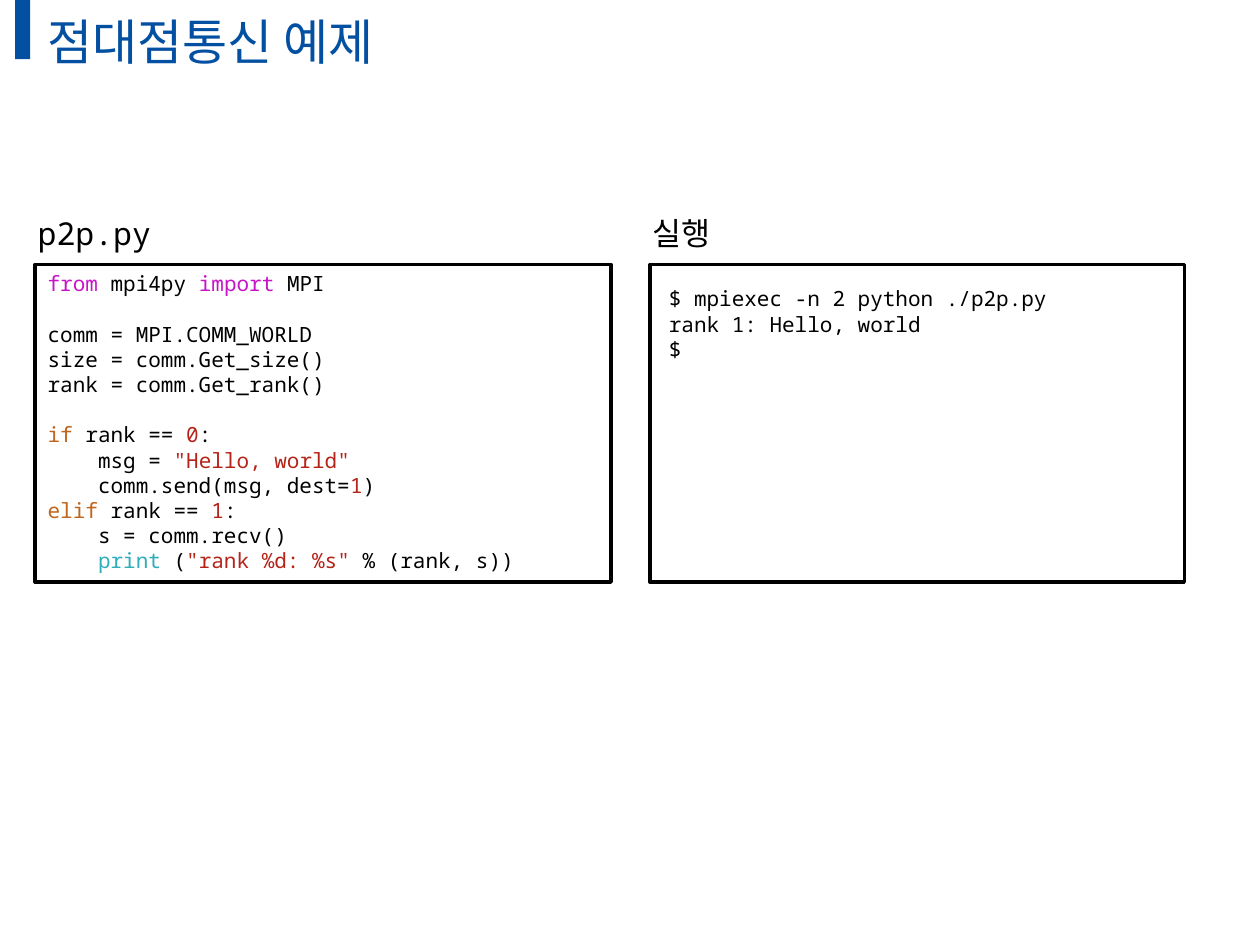
"""Build the point-to-point communication example slide."""
from lxml.etree import SubElement
from pptx import Presentation
from pptx.dml.color import RGBColor
from pptx.enum.shapes import MSO_SHAPE
from pptx.enum.text import MSO_ANCHOR, PP_ALIGN
from pptx.oxml.ns import qn
from pptx.util import Inches, Pt

BLUE, BLACK, WHITE = "0350A2", "000000", "FFFFFF"
MAGENTA, ORANGE, RED, CYAN = "C814C9", "C1651C", "B42419", "2EAEBB"
MONO, KOREAN = "Noto Sans Mono", "Noto Sans CJK KR"
CODE_SIZE, LINE_HEIGHT, INDENT = 12, 14.4, 0.4


def color(value):
    return RGBColor.from_string(value)


def write(shape, lines, size, font_name=MONO, anchor=MSO_ANCHOR.TOP, wrap=False):
    frame = shape.text_frame
    for name, value in {"word_wrap": wrap, "vertical_anchor": anchor}.items():
        setattr(frame, name, value)
    for index, (blank_lines, indent, runs) in enumerate(lines):
        paragraph = frame.paragraphs[0] if index == 0 else frame.add_paragraph()
        paragraph.alignment = PP_ALIGN.LEFT
        if blank_lines:
            paragraph.space_before = Pt(blank_lines * LINE_HEIGHT)
        if indent:
            paragraph._p.get_or_add_pPr().set("marL", str(Inches(indent * INDENT)))
        for text, text_color in runs:
            run = paragraph.add_run()
            run.text = text
            for name, value in {"size": Pt(size), "name": font_name}.items():
                setattr(run.font, name, value)
            run.font.color.rgb = color(text_color)
            SubElement(run.font._element, qn("a:ea")).set("typeface", KOREAN)


presentation = Presentation()
presentation.slide_width, presentation.slide_height = Inches(10), Inches(7.5)
slide = presentation.slides.add_slide(presentation.slide_layouts[6])

code_lines = [
    (0, 0, [("from", MAGENTA), (" mpi4py ", BLACK), ("import", MAGENTA), (" MPI", BLACK)]),
    (1, 0, [("comm = MPI.COMM_WORLD", BLACK)]),
    (0, 0, [("size = comm.Get_size()", BLACK)]),
    (0, 0, [("rank = comm.Get_rank()", BLACK)]),
    (1, 0, [("if", ORANGE), (" rank == ", BLACK), ("0", RED), (":", BLACK)]),
    (0, 1, [("msg = ", BLACK), ('"Hello, world"', RED)]),
    (0, 1, [("comm.send(msg, dest=", BLACK), ("1", RED), (")", BLACK)]),
    (0, 0, [("elif", ORANGE), (" rank == ", BLACK), ("1", RED), (":", BLACK)]),
    (0, 1, [("s = comm.recv()", BLACK)]),
    (0, 1, [("print", CYAN), (" (", BLACK), ('"rank %d: %s"', RED), (" % (rank, s))", BLACK)]),
]

for left, top, width, height, fill, line, lines in [
    (0.12, 0, 0.12, 0.47, BLUE, None, []),
    (0.28, 2.1, 4.57, 2.52, WHITE, BLACK, code_lines),
    (5.16, 2.1, 4.24, 2.52, WHITE, BLACK, []),
]:
    shape = slide.shapes.add_shape(
        MSO_SHAPE.RECTANGLE, Inches(left), Inches(top), Inches(width), Inches(height)
    )
    shape.shadow.inherit = False
    shape.fill.solid()
    shape.fill.fore_color.rgb = color(fill)
    if line:
        shape.line.color.rgb = color(line)
        shape.line.width = Pt(2)
    else:
        shape.line.fill.background()
    if lines:
        write(shape, lines, CODE_SIZE, wrap=True)

output = ["$ mpiexec -n 2 python ./p2p.py", "rank 1: Hello, world", "$"]
title_format = {"font_name": KOREAN, "anchor": MSO_ANCHOR.MIDDLE, "wrap": True}
for left, top, width, height, texts, text_color, size, options in [
    (0.28, 0.05, 9, 0.55, ["점대점통신 예제"], BLUE, 28, title_format),
    (0.2, 1.65, 1.12, 0.4, ["p2p.py"], BLACK, 18, {}),
    (5.08, 1.65, 0.71, 0.4, ["실행"], BLACK, 18, {}),
    (5.21, 2.22, 3.35, 0.71, output, BLACK, CODE_SIZE, {}),
]:
    shape = slide.shapes.add_textbox(Inches(left), Inches(top), Inches(width), Inches(height))
    write(shape, [(0, 0, [(text, text_color)]) for text in texts], size, **options)

presentation.save("out.pptx")
